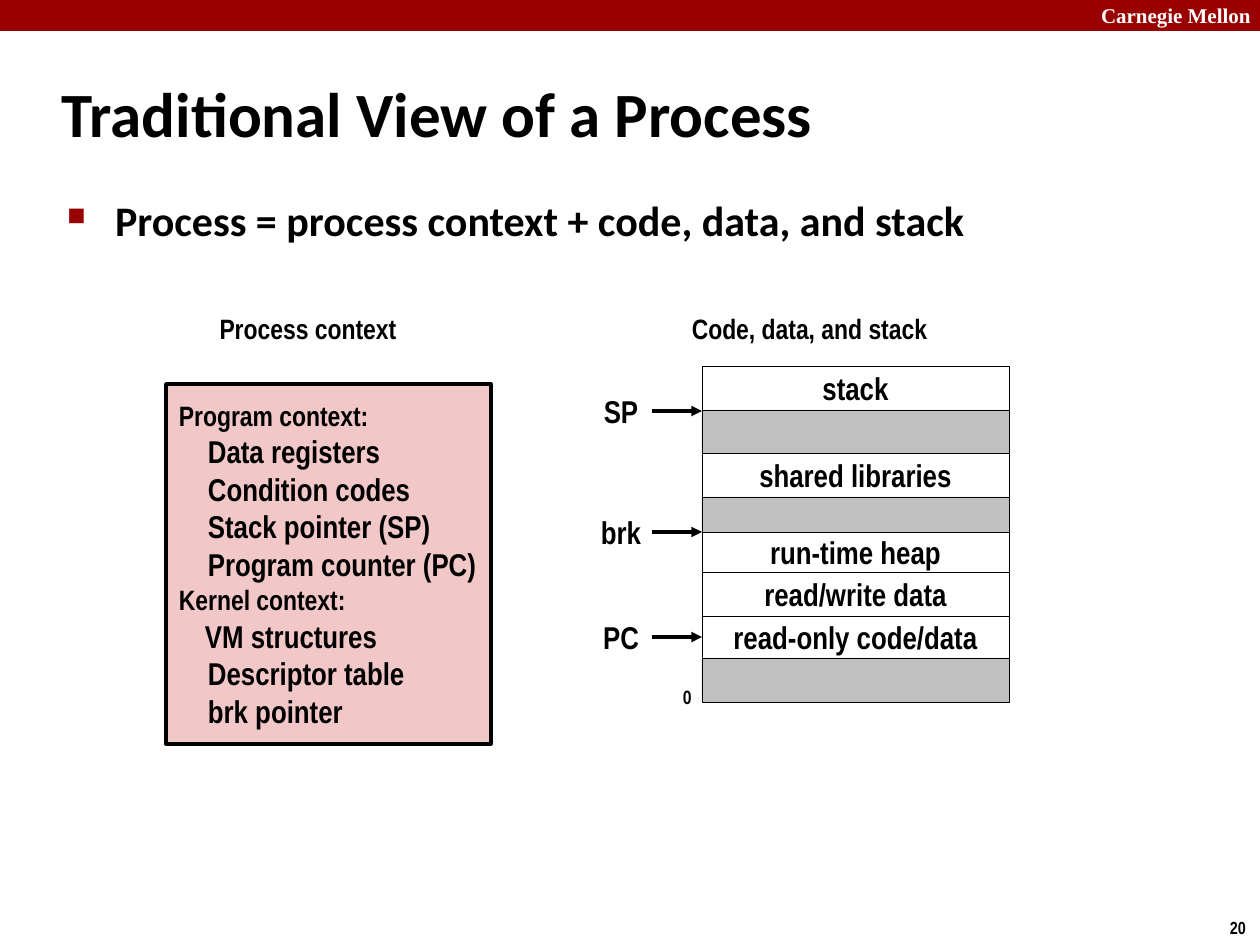
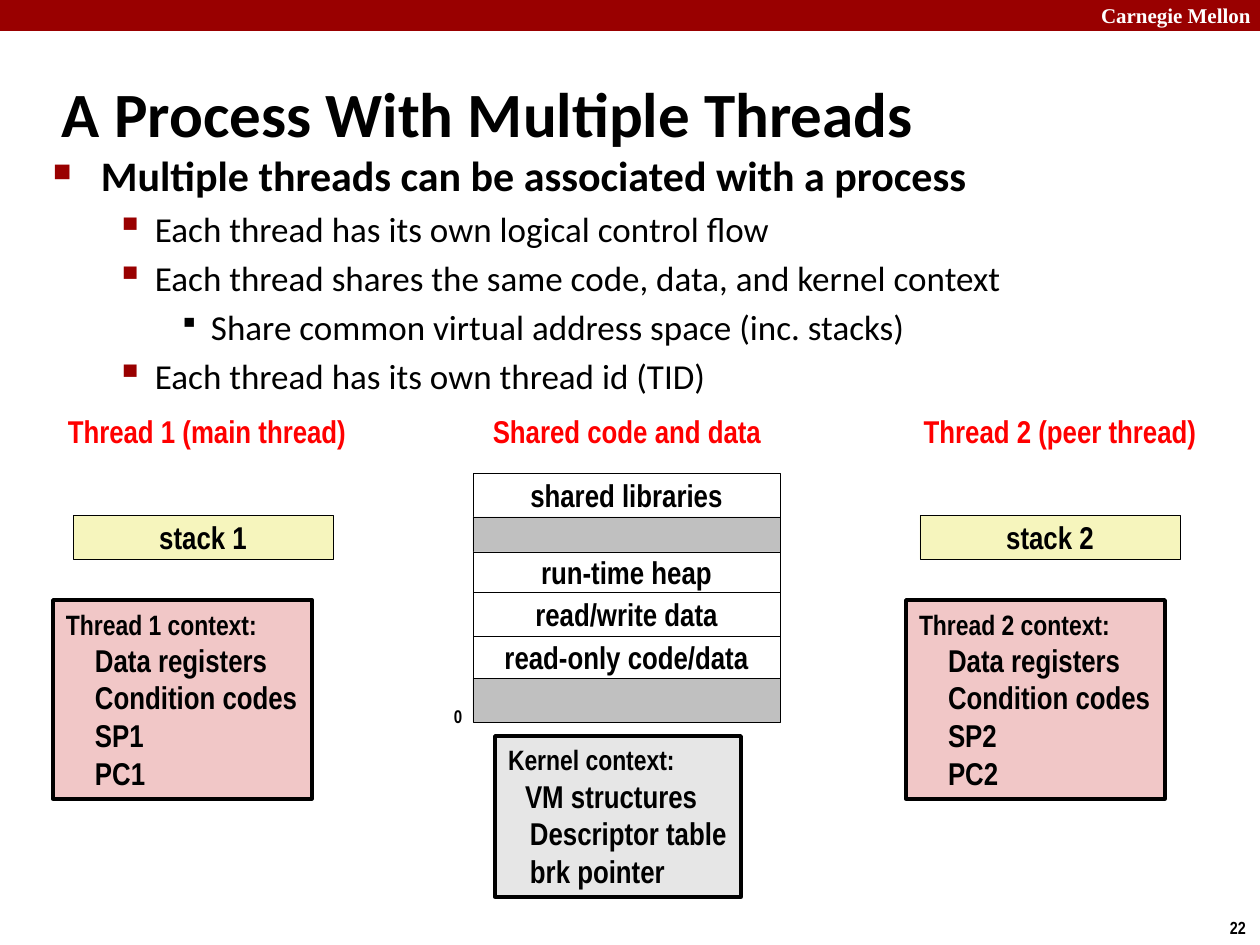
from collections import namedtuple

from lxml import etree
from pptx import Presentation, util as u
from pptx.dml import color
from pptx.enum import shapes, text
from pptx.oxml import ns

PX = 914400 / 126
Box = namedtuple("Box", "x y w h")
Bullet = namedtuple("Bullet", "style margin hang char percent tint")
LEFT, CENTER = text.PP_ALIGN.LEFT, text.PP_ALIGN.CENTER
TOP, MIDDLE = text.MSO_ANCHOR.TOP, text.MSO_ANCHOR.MIDDLE


def px(length):
    return u.Emu(round(length * PX))


def style(name, size, bold=True, ink="000000"):
    return {"name": name, "size": u.Pt(size), "bold": bold, "ink": ink}


class Theme:
    red, black, white = "990000", "000000", "FFFFFF"
    gray, pale_gray = "C0C0C0", "E6E6E6"
    pink, yellow = "F1C7C7", "F6F5BD"
    thin, thick = 0.25, 2
    brand = style("Times New Roman", 12, ink=white)
    title = style("Calibri", 36)
    heading = style("Arial Narrow", 16)
    label = style("Arial Narrow", 18)
    column = style("Arial Narrow", 18, ink="FF0000")
    number = style("Arial Narrow", 10)
    bullets = [
        Bullet(style("Calibri", 24), 48, 48, "■", 60, red),
        Bullet(style("Calibri", 20, bold=False), 102, 39, "▪", 110, red),
        Bullet(style("Calibri", 20, bold=False), 158, 32, "▪", 80, None),
    ]


# Memory bands: name (None for an unused area) and height
LOW_MEMORY = [
    ("shared libraries", 44), (None, 35), ("run-time heap", 40),
    ("read/write data", 44), ("read-only code/data", 42), (None, 44),
]
FULL_MEMORY = [("stack", 44), (None, 43)] + LOW_MEMORY


# --- Basic parts ---
def set_values(target, values):
    for name, value in values.items():
        setattr(target, name, value)


def rgb(value):
    return color.RGBColor.from_string(value)


def set_font(font, values):
    set_values(font, {k: v for k, v in values.items() if k != "ink"})
    font.color.rgb = rgb(values["ink"])


def set_frame(shape, align, anchor):
    side = 0 if align == CENTER else px(13)
    set_values(shape.text_frame, {
        "word_wrap": True, "vertical_anchor": anchor, "margin_left": side,
        "margin_right": 0, "margin_top": px(6), "margin_bottom": px(6)})


def paragraphs(shape, count):
    frame = shape.text_frame
    return [frame.paragraphs[0]] + [frame.add_paragraph() for _ in range(count - 1)]


def write(shape, words, values, align=CENTER, anchor=MIDDLE):
    set_frame(shape, align, anchor)
    para = shape.text_frame.paragraphs[0]
    para.alignment = align
    span = para.add_run()
    span.text = words
    set_font(span.font, values)


def add_text(page, box, words, values, align=CENTER, anchor=MIDDLE):
    shape = page.shapes.add_textbox(*map(px, box))
    write(shape, words, values, align, anchor)
    return shape


def add_rect(page, box, fill, line_width=None):
    shape = page.shapes.add_shape(shapes.MSO_SHAPE.RECTANGLE, *map(px, box))
    shape.shadow.inherit = False
    shape.fill.solid()
    shape.fill.fore_color.rgb = rgb(fill)
    if line_width is None:
        shape.line.fill.background()
    else:
        shape.line.color.rgb = rgb(Theme.black)
        shape.line.width = u.Pt(line_width)
    return shape


def add_named_rect(page, box, fill, words):
    shape = add_rect(page, box, fill, Theme.thin)
    write(shape, words, Theme.label)
    return shape


# --- Shared frame: band, title, page number ---
def add_frame(deck, title, number):
    page = deck.slides.add_slide(deck.slide_layouts[6])
    add_rect(page, Box(0, 0, 1260, 31), Theme.red)
    add_text(page, Box(1088, 0, 172, 31), "Carnegie Mellon", Theme.brand, LEFT)
    add_text(page, Box(1217, 911, 43, 34), number, Theme.number, LEFT, TOP)
    add_text(page, Box(49, 60, 1046, 105), title, Theme.title, LEFT)
    return page


# --- Bulleted body ---
def add_bullet(para, bullet):
    props = para._p.get_or_add_pPr()
    props.set("marL", str(px(bullet.margin)))
    props.set("indent", str(-px(bullet.hang)))
    if bullet.tint:
        tint = etree.SubElement(props, ns.qn("a:buClr"))
        etree.SubElement(tint, ns.qn("a:srgbClr"), val=bullet.tint)
    etree.SubElement(props, ns.qn("a:buSzPct"), val=str(bullet.percent * 1000))
    etree.SubElement(props, ns.qn("a:buChar"), char=bullet.char)


def add_body(page, box, lines):
    shape = page.shapes.add_textbox(*map(px, box))
    set_frame(shape, LEFT, TOP)
    for row, (para, (level, words)) in enumerate(zip(paragraphs(shape, len(lines)), lines)):
        bullet = Theme.bullets[level]
        add_bullet(para, bullet)
        para.level = level
        if row:
            para.space_before = u.Pt(4)
        span = para.add_run()
        span.text = words
        set_font(span.font, bullet.style)


# --- Context box: headings (no indent) and indented entries ---
def add_context(page, box, fill, lines):
    shape = add_rect(page, box, fill, Theme.thick)
    set_frame(shape, LEFT, MIDDLE)
    for para, (indent, words) in zip(paragraphs(shape, len(lines)), lines):
        para.alignment = LEFT
        para._p.get_or_add_pPr().set("marL", str(px(indent)))
        span = para.add_run()
        span.text = words
        set_font(span.font, Theme.label if indent else Theme.heading)


# --- Memory map: returns the rectangles by name ---
def add_memory(page, x, y, bands, zero_size):
    named = {}
    for name, height in bands:
        box = Box(x, y, 307, height)
        if name:
            named[name] = add_named_rect(page, box, Theme.white, name)
        else:
            add_rect(page, box, Theme.gray, Theme.thin)
        y += height
    zero = {**Theme.number, "size": u.Pt(zero_size)}
    add_text(page, Box(x - 32, y - 23, 34, 36), "0", zero, LEFT, TOP)
    return named


def add_pointer(page, x, y, name, target=None):
    label = add_text(page, Box(x - 112, y - 25, 62, 50), name, Theme.label)
    arrow = page.shapes.add_connector(
        shapes.MSO_CONNECTOR.STRAIGHT, px(x - 50), px(y), px(x), px(y))
    arrow.begin_connect(label, 3)
    if target is not None:
        arrow.end_connect(target, 1)
    arrow.line.color.rgb = rgb(Theme.black)
    arrow.line.width = u.Pt(Theme.thick)
    props = arrow.element.spPr
    etree.SubElement(props.find(ns.qn("a:ln")), ns.qn("a:tailEnd"), type="triangle")
    etree.SubElement(props, ns.qn("a:effectLst"))


# --- Thread column: heading, stack, context ---
def add_thread(page, x, y, number, role, stack_shift):
    add_text(page, Box(x - 27, y, 362, 50), f"Thread {number} ({role} thread)", Theme.column)
    add_named_rect(page, Box(x + stack_shift, y + 109, 260, 44), Theme.yellow,
                   f"stack {number}")
    entries = ["Data registers", "Condition codes", f"SP{number}", f"PC{number}"]
    add_context(page, Box(x, y + 194, 259, 199), Theme.pink,
                [(0, f"Thread {number} context:")] + [(29, entry) for entry in entries])


# --- Slides ---
def process_slide(deck):
    page = add_frame(deck, "Traditional View of a Process", "20")
    add_body(page, Box(54, 188, 1089, 685),
             [(0, "Process = process context + code, data, and stack")])

    add_text(page, Box(206, 305, 204, 47), "Process context", Theme.heading)
    add_context(page, Box(166, 384, 325, 360), Theme.pink, [
        (0, "Program context:"),
        (29, "Data registers"),
        (29, "Condition codes"),
        (29, "Stack pointer (SP)"),
        (29, "Program counter (PC)"),
        (0, "Kernel context:"),
        (26, "VM structures"),
        (29, "Descriptor table"),
        (29, "brk pointer"),
    ])

    add_text(page, Box(678, 305, 263, 47), "Code, data, and stack", Theme.heading)
    x, y = 702, 366
    memory = add_memory(page, x, y, FULL_MEMORY, 11)
    add_pointer(page, x, y + 45, "SP")
    add_pointer(page, x, y + 166, "brk")
    add_pointer(page, x, y + 271, "PC", memory["read-only code/data"])


def threads_slide(deck):
    page = add_frame(deck, "A Process With Multiple Threads", "22")
    add_body(page, Box(40, 144, 1145, 755), [
        (0, "Multiple threads can be associated with a process"),
        (1, "Each thread has its own logical control flow"),
        (1, "Each thread shares the same code, data, and kernel context"),
        (2, "Share common virtual address space (inc. stacks)"),
        (1, "Each thread has its own thread id (TID)"),
    ])

    add_thread(page, 53, 406, 1, "main", 20)
    add_thread(page, 906, 406, 2, "peer", 14)

    add_text(page, Box(446, 406, 362, 50), "Shared code and data", Theme.column)
    add_memory(page, 473, 473, LOW_MEMORY, 10.5)
    add_context(page, Box(495, 736, 246, 161), Theme.pale_gray, [
        (0, "Kernel context:"),
        (17, "VM structures"),
        (22, "Descriptor table"),
        (22, "brk pointer"),
    ])


def main():
    deck = Presentation()
    deck.slide_width, deck.slide_height = px(1260), px(945)
    process_slide(deck)
    threads_slide(deck)
    deck.save("out.pptx")


if __name__ == "__main__":
    main()
